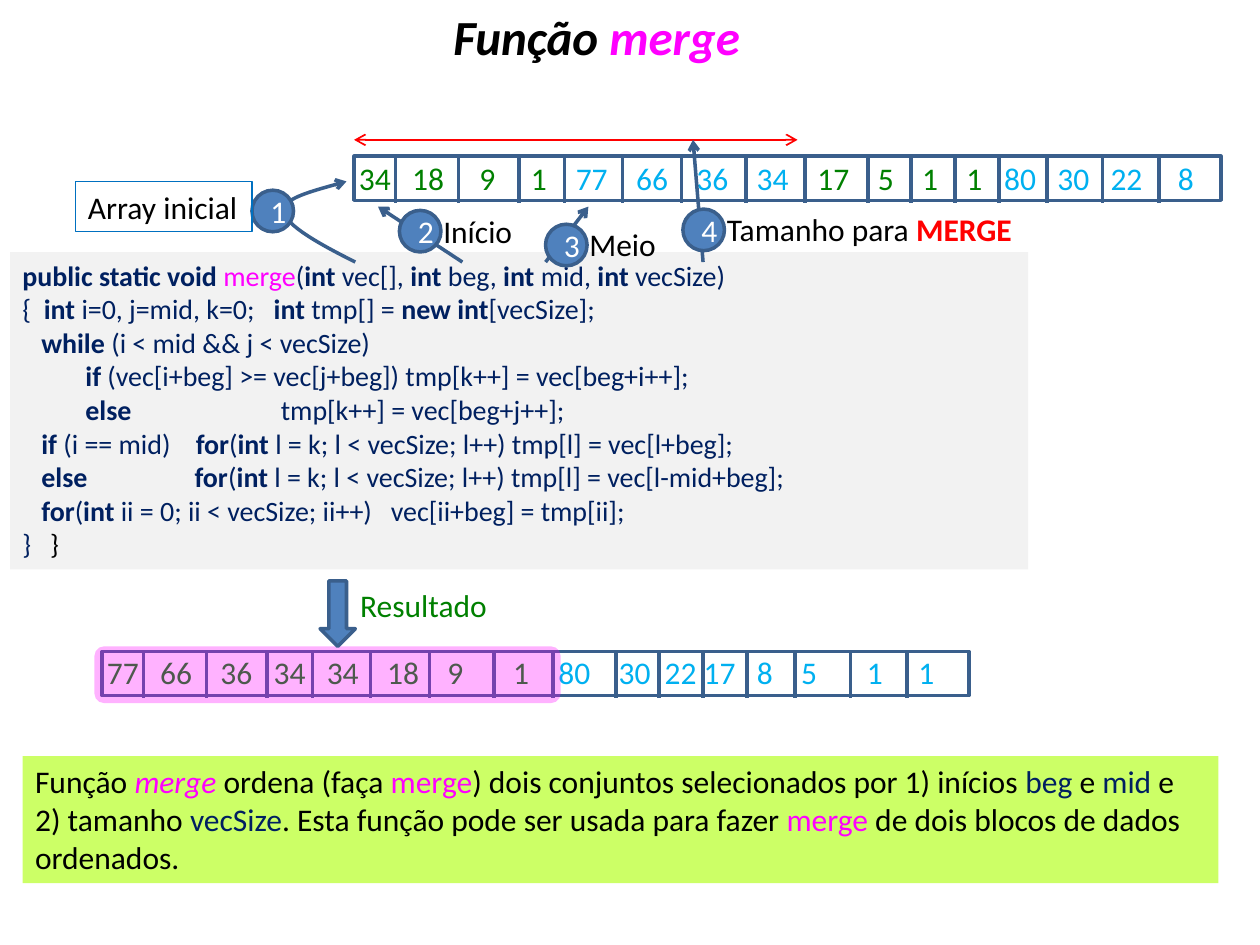
from lxml import etree
from pptx import Presentation
from pptx.dml.color import RGBColor
from pptx.enum.shapes import MSO_CONNECTOR, MSO_SHAPE
from pptx.enum.text import MSO_ANCHOR, MSO_AUTO_SIZE, PP_ALIGN
from pptx.oxml.ns import qn
from pptx.util import Inches, Pt

BLACK = RGBColor(0x00, 0x00, 0x00)
WHITE = RGBColor(0xFF, 0xFF, 0xFF)
NAVY = RGBColor(0x00, 0x20, 0x60)
MAGENTA = RGBColor(0xFF, 0x00, 0xFF)
GREEN = RGBColor(0x00, 0x80, 0x00)
CYAN = RGBColor(0x00, 0xB0, 0xF0)
RED = RGBColor(0xFF, 0x00, 0x00)
BLUE = RGBColor(0x4F, 0x81, 0xBD)
OUTLINE = RGBColor(0x3A, 0x5F, 0x8C)
FRAME = RGBColor(0x00, 0x70, 0xC0)
GREY = RGBColor(0xF2, 0xF2, 0xF2)
LIME = RGBColor(0xCC, 0xFF, 0x66)

DIVIDERS = [0.33, 0.83, 1.31, 1.67, 2.13, 2.6, 3.11, 3.58,
            4.08, 4.42, 4.77, 5.12, 5.5, 5.94, 6.39]

CODE_BODY = [
    "{  *int *i=0, j=mid, k=0;   *int *tmp[] = *new int*[vecSize];",
    "   *while* (i < mid && j < vecSize)",
    "   \t*if* (vec[i+beg] >= vec[j+beg]) tmp[k++] = vec[beg+i++];",
    "\t*else \t\t           *tmp[k++] = vec[beg+j++];\t\t",
    "   *if* (i == mid)    *for*(*int *l = k; l < vecSize; l++) tmp[l] = vec[l+beg];",
    "   *else                 for*(*int *l = k; l < vecSize; l++) tmp[l] = vec[l-mid+beg];",
    "   *for*(*int* ii = 0; ii < vecSize; ii++)   vec[ii+beg] = tmp[ii];",
]


def code_spans(line):
    """Split a code line into spans; asterisks enclose bold keywords."""
    return [(text, NAVY, "b" if index % 2 else "")
            for index, text in enumerate(line.split("*")) if text]


def write(frame, paragraphs, size=18):
    """Fill a frame with paragraphs of (text, colour, optional 'b'/'i' style) spans."""
    for index, spans in enumerate(paragraphs):
        para = frame.add_paragraph() if index else frame.paragraphs[0]
        para.font.name = "Calibri"
        para.font.size = Pt(size)
        for text, colour, *style in spans:
            span = para.add_run()
            span.text = text
            span.font.color.rgb = colour
            span.font.bold = "b" in style[0] if style else False
            span.font.italic = "i" in style[0] if style else False


def add_text(shapes, left, top, width, height, paragraphs, size=18, wrap=False, fill=None):
    box = shapes.add_textbox(Inches(left), Inches(top), Inches(width), Inches(height))
    box.text_frame.word_wrap = wrap
    box.text_frame.auto_size = MSO_AUTO_SIZE.SHAPE_TO_FIT_TEXT
    if fill is not None:
        box.fill.solid()
        box.fill.fore_color.rgb = fill
    write(box.text_frame, paragraphs, size)
    return box


def set_outline(line, colour=OUTLINE, width=2):
    line.color.rgb = colour
    line.width = Pt(width)


def add_arrowheads(item, *ends):
    line = item.line._get_or_add_ln()
    for end in ends:
        etree.SubElement(line, qn(f"a:{end}"), type="arrow")


def add_line(shapes, start, end, colour=OUTLINE, width=2, arrows=()):
    line = shapes.add_connector(MSO_CONNECTOR.STRAIGHT, *map(Inches, start + end))
    set_outline(line.line, colour, width)
    etree.SubElement(line._element.spPr, qn("a:effectLst"))
    add_arrowheads(line, *arrows)


def add_figure(shapes, kind, left, top, width, height, fill=None, outlined=True):
    figure = shapes.add_shape(kind, Inches(left), Inches(top), Inches(width), Inches(height))
    figure.shadow.inherit = False
    if fill is None:
        figure.fill.background()
    else:
        figure.fill.solid()
        figure.fill.fore_color.rgb = fill
    if outlined:
        set_outline(figure.line)
    else:
        figure.line.fill.background()
    return figure


def add_array(page, left, top, text_box, spans):
    group = page.shapes.add_group_shape().shapes
    add_figure(group, MSO_SHAPE.RECTANGLE, left, top, 6.88, 0.35)
    add_text(group, *text_box, [spans])
    for offset in DIVIDERS:
        add_line(group, (left + offset, top), (left + offset, top + 0.37))


def add_badge(shapes, number, left, top):
    badge = add_figure(shapes, MSO_SHAPE.OVAL, left, top, 0.33, 0.33, BLUE)
    badge.text_frame.vertical_anchor = MSO_ANCHOR.MIDDLE
    write(badge.text_frame, [[(number, WHITE)]])
    badge.text_frame.paragraphs[0].alignment = PP_ALIGN.CENTER


def add_step(page, number, start, end, badge, label_width, spans):
    """Add an arrow from a parameter, its numbered badge and the label beside it."""
    group = page.shapes.add_group_shape().shapes
    add_line(group, start, end, arrows=["tailEnd"])
    add_badge(group, number, *badge)
    add_text(group, badge[0] + 0.25, badge[1] - 0.04, label_width, 0.4, [spans])


def add_curve(shapes, points):
    """Add an open curve: a start, then three Bezier points for each segment."""
    start, *rest = [(Inches(x), Inches(y)) for x, y in points]
    builder = shapes.build_freeform(*start)
    builder.add_line_segments(rest, close=False)
    curve = builder.convert_to_shape()
    corners = list(curve._element.iter(qn("a:lnTo")))
    for index in range(0, len(corners), 3):
        bezier = etree.Element(qn("a:cubicBezTo"))
        corners[index].addprevious(bezier)
        for corner in corners[index:index + 3]:
            bezier.append(corner[0])
            corner.getparent().remove(corner)
    curve.shadow.inherit = False
    curve.fill.background()
    set_outline(curve.line)
    add_arrowheads(curve, "tailEnd")


def add_code(page):
    signature = (code_spans("*public static void *") + [("merge", MAGENTA)]
                 + code_spans("(*int *vec[], *int* beg, *int* mid, *int *vecSize)"))
    closing = [("}", NAVY), ("   }", BLACK)]
    body = [code_spans(line) for line in CODE_BODY]
    add_text(page.shapes, 0.08, 2, 8.08, 2.52, [signature, *body, closing],
             size=16, wrap=True, fill=GREY)


def add_first_step(page):
    group = page.shapes.add_group_shape().shapes
    add_curve(group, [(2.82, 2.08), (2.54, 1.94), (2.27, 1.79), (2.25, 1.68),
                      (2.24, 1.58), (2.5, 1.51), (2.75, 1.44)])
    add_badge(group, "1", 2, 1.51)
    label = add_text(group, 0.6, 1.44, 1.4, 0.4, [[("Array inicial", BLACK)]])
    set_outline(label.line, FRAME, 0.75)


def add_result(page):
    add_array(page, 0.81, 5.17, (0.75, 5.13, 6.88, 0.4), [
        ("77   66    36   34   34    18    9       1    ", GREEN),
        ("80    30  22 17   8    5       1     1", CYAN)])
    group = page.shapes.add_group_shape().shapes
    highlight = add_figure(group, MSO_SHAPE.ROUNDED_RECTANGLE, 0.75, 5.13, 3.7, 0.45,
                           MAGENTA, outlined=False)
    colour = highlight._element.spPr.find(qn("a:solidFill"))[0]
    etree.SubElement(colour, qn("a:alpha"), val="30000")
    add_figure(group, MSO_SHAPE.DOWN_ARROW, 2.54, 4.61, 0.28, 0.52, BLUE)
    add_text(page.shapes, 2.76, 4.6, 1.22, 0.4, [[("Resultado", GREEN)]])


def add_summary(page):
    add_text(page.shapes, 0.18, 6, 9.49, 1.01, [[
        ("Função ", BLACK), ("merge", MAGENTA, "i"), (" ordena (faça ", BLACK),
        ("merge", MAGENTA), (") dois conjuntos selecionados por 1) inícios ", BLACK),
        ("beg", NAVY), (" e ", BLACK), ("mid", NAVY), (" e 2) tamanho ", BLACK),
        ("vecSize", NAVY), (". Esta função pode ser usada para fazer ", BLACK),
        ("merge", MAGENTA), (" de dois blocos de dados ordenados.", BLACK),
    ]], wrap=True, fill=LIME)


def main():
    deck = Presentation()
    deck.slide_width, deck.slide_height = Inches(10), Inches(7.5)
    page = deck.slides.add_slide(deck.slide_layouts[6])

    add_code(page)
    add_array(page, 2.81, 1.24, (2.75, 1.21, 7.01, 0.4), [
        ("34   18     9     1    ", GREEN), ("77    66    36    34    ", CYAN),
        ("17    5    1    1   ", GREEN), ("80   30   22     8", CYAN)])
    add_first_step(page)
    add_step(page, "2", (3.67, 2.08), (3, 1.64), (3.17, 1.67), 0.75, [("Início", BLACK)])
    add_step(page, "3", (4.33, 2.08), (4.67, 1.64), (4.33, 1.78), 0.73, [("Meio", BLACK)])
    add_line(page.shapes, (2.81, 1.11), (6.33, 1.11), RED, 1, ["headEnd", "tailEnd"])
    add_step(page, "4", (5.58, 2.08), (5.5, 1.11), (5.42, 1.66), 2.48,
             [("Tamanho para ", BLACK), ("MERGE", RED, "b")])
    add_result(page)
    add_text(page.shapes, 3.5, 0, 2.5, 0.57,
             [[("Função ", BLACK, "bi"), ("merge", MAGENTA, "bi")]], size=28)
    add_summary(page)
    deck.save("out.pptx")


if __name__ == "__main__":
    main()
